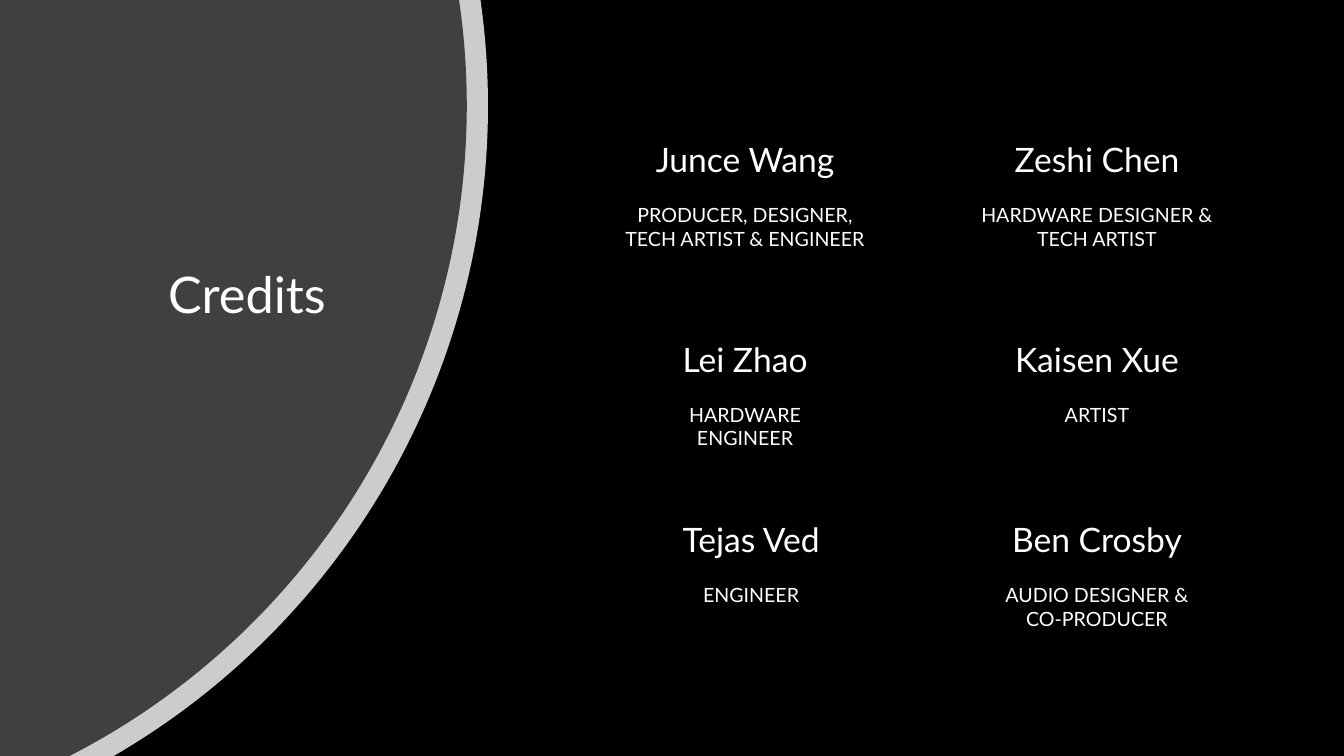
from dataclasses import dataclass
from math import asin, cos, sin, tan

from lxml.etree import SubElement
from pptx import Presentation
from pptx.dml.color import RGBColor as Color
from pptx.enum.text import MSO_AUTO_SIZE as AutoSize, PP_ALIGN as Align
from pptx.oxml.ns import qn
from pptx.util import Inches, Pt


@dataclass(frozen=True)
class Theme:
    font: str = "Lato"
    background: Color = Color(0x00, 0x00, 0x00)
    text: Color = Color(0xFF, 0xFF, 0xFF)
    rim: Color = Color(0xFF, 0xFF, 0xFF)
    disc: Color = Color(0x40, 0x40, 0x40)
    title_size: int = 36
    name_size: int = 24
    role_size: int = 14


@dataclass(frozen=True)
class Credit:
    name: str
    role: str
    width: float
    role_lines: int = 1
    shift: float = 0


THEME = Theme()

# The grid is made of one-inch cells.
SLIDE_WIDTH, SLIDE_HEIGHT = 13.33, 7.5
COLUMN_CENTRES = (7.39, 10.88)
ROW_TOPS = (1.33, 3.31, 5.1)
NAME_AND_ROLE_HEIGHT, EXTRA_LINE_HEIGHT = 0.98, 0.23

DISC_CENTRE = (-2.62, 1.05)
RIM_RADIUS, DISC_RADIUS = 7.46, 7.25

CREDIT_ROWS = (
    (Credit("Junce Wang", "PRODUCER, DESIGNER, TECH ARTIST & ENGINEER", 2.88, 2),
     Credit("Zeshi Chen", "HARDWARE DESIGNER & TECH ARTIST", 3.01, 2)),
    (Credit("Lei Zhao", "HARDWARE ENGINEER", 2.3, 2),
     Credit("Kaisen Xue", "ARTIST", 2.19)),
    (Credit("Tejas Ved", "ENGINEER", 1.91, shift=0.06),
     Credit("Ben Crosby", "AUDIO DESIGNER & CO-PRODUCER", 2.32, 2)),
)


def arc_points(radius, start, end):
    """Return the two control points and the end point of a Bézier arc."""
    centre_x, centre_y = DISC_CENTRE
    reach = 4 / 3 * tan((end - start) / 4)
    offsets = (
        (cos(start) - reach * sin(start), sin(start) + reach * cos(start)),
        (cos(end) + reach * sin(end), sin(end) - reach * cos(end)),
        (cos(end), sin(end)),
    )
    return [(centre_x + radius * x, centre_y + radius * y) for x, y in offsets]


def bend(segments):
    """Join three straight segments into one cubic curve."""
    curve = segments[0].makeelement(qn("a:cubicBezTo"))
    segments[0].addprevious(curve)
    for segment in segments:
        curve.append(segment[0])
        segment.getparent().remove(segment)


def add_disc(page, radius, color, opacity=100):
    """Draw the part of a circle that lies on the slide, from its left edge."""
    centre_x, centre_y = DISC_CENTRE
    start = asin(-centre_y / radius)
    end = asin((SLIDE_HEIGHT - centre_y) / radius)
    outline = [
        (centre_x + radius * cos(start), 0),
        *arc_points(radius, start, 0),
        *arc_points(radius, 0, end),
        (0, SLIDE_HEIGHT),
    ]
    builder = page.shapes.build_freeform(0, 0)
    builder.add_line_segments([(Inches(x), Inches(y)) for x, y in outline], close=True)
    disc = builder.convert_to_shape()
    segments = list(disc.element.iter(qn("a:lnTo")))
    bend(segments[1:4])
    bend(segments[4:7])

    disc.shadow.inherit = False
    disc.line.fill.background()
    disc.fill.solid()
    disc.fill.fore_color.rgb = color
    if opacity < 100:
        color_node = disc.element.spPr.find(qn("a:solidFill"))[0]
        SubElement(color_node, qn("a:alpha"), val=str(opacity * 1000))


def add_box(page, left, top, width, height):
    box = page.shapes.add_textbox(*map(Inches, (left, top, width, height)))
    box.text_frame.word_wrap = True
    return box.text_frame


def write(para, text, size):
    para.text = text
    para.alignment = Align.CENTER
    para.font.name = THEME.font
    para.font.size = Pt(size)
    para.font.color.rgb = THEME.text


def add_title(page, text):
    frame = add_box(page, 0.88, 1.54, 3.14, 2.36)
    frame.margin_top = Inches(1.14)
    para = frame.paragraphs[0]
    write(para, text, THEME.title_size)
    para.line_spacing = 0.9


def add_credit(page, credit, centre, top):
    height = NAME_AND_ROLE_HEIGHT + EXTRA_LINE_HEIGHT * (credit.role_lines - 1)
    left = centre + credit.shift - credit.width / 2
    frame = add_box(page, left, top, credit.width, height)
    frame.auto_size = AutoSize.SHAPE_TO_FIT_TEXT
    write(frame.paragraphs[0], credit.name, THEME.name_size)
    role = frame.add_paragraph()
    write(role, credit.role, THEME.role_size)
    role.space_before = Pt(THEME.role_size * 1.2)


def main():
    deck = Presentation()
    deck.slide_width, deck.slide_height = Inches(SLIDE_WIDTH), Inches(SLIDE_HEIGHT)
    page = deck.slides.add_slide(deck.slide_layouts[6])
    page.background.fill.solid()
    page.background.fill.fore_color.rgb = THEME.background

    add_disc(page, RIM_RADIUS, THEME.rim, opacity=80)
    add_disc(page, DISC_RADIUS, THEME.disc)
    add_title(page, "Credits")
    for top, credits in zip(ROW_TOPS, CREDIT_ROWS):
        for centre, credit in zip(COLUMN_CENTRES, credits):
            add_credit(page, credit, centre, top)

    deck.save("out.pptx")


if __name__ == "__main__":
    main()
